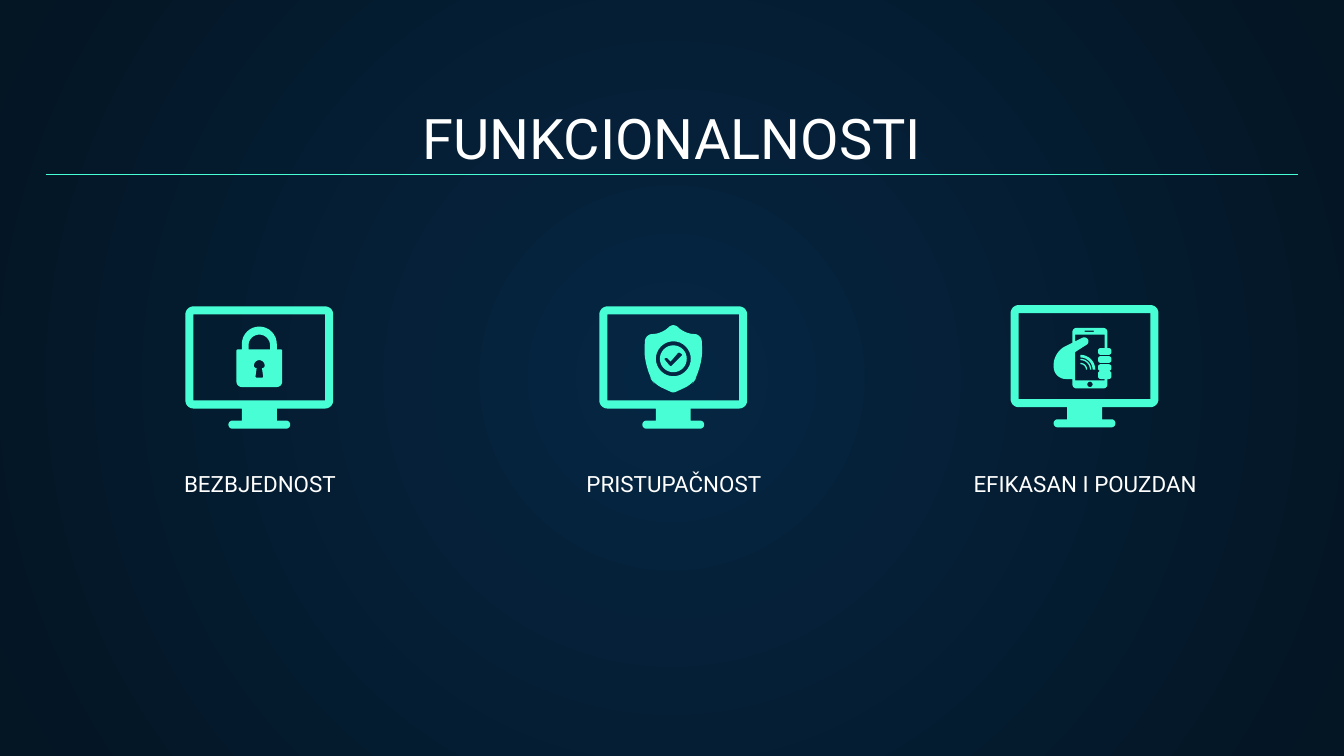
from dataclasses import dataclass
from math import dist, sqrt

from lxml.etree import SubElement
from pptx import Presentation
from pptx.dml.color import RGBColor
from pptx.enum.shapes import MSO_CONNECTOR
from pptx.enum.text import MSO_ANCHOR, PP_ALIGN
from pptx.oxml.ns import qn
from pptx.slide import Slide
from pptx.util import Inches, Pt

Corner = tuple[float, float, float]  # x, y, corner radius
Contour = list[Corner]


@dataclass(frozen=True)
class Theme:
    font: str = "Roboto"
    title_size: int = 30
    label_size: int = 12
    text: str = "FFFFFF"
    accent: str = "48FFD5"
    glow: str = "052643"
    night: str = "041523"


@dataclass(frozen=True)
class Feature:
    label: str
    center: float
    top: float
    symbol: list[Contour]


THEME = Theme()


# Contours: x from the icon's centre, y from the top of the monitor
def mirrored(half: Contour) -> Contour:
    """Close a right-hand half with its reflection."""
    return half + [(-x, y, radius) for x, y, radius in reversed(half)]


def box(left: float, top: float, width: float, height: float, radius: float = 0) -> Contour:
    right, bottom = left + width, top + height
    return [(left, top, radius), (right, top, radius),
            (right, bottom, radius), (left, bottom, radius)]


def circle(x: float, y: float, radius: float) -> Contour:
    return box(x - radius, y - radius, 2 * radius, 2 * radius, radius)


def signal_arc(x: float, y: float, outer: float, inner: float) -> Contour:
    """Quarter ring that opens up and to the right of its centre."""
    return [(x, y - outer, 0), (x + outer, y - outer, outer), (x + outer, y, 0),
            (x + inner, y, 0), (x + inner, y - inner, inner), (x, y - inner, 0)]


def rounded(contour: Contour, steps: int = 8) -> list[tuple[float, float]]:
    """Replace each corner by an arc; right angles give true circles."""
    points = []
    for index, (x, y, radius) in enumerate(contour):
        if not radius:
            points.append((x, y))
            continue
        ends = []
        for near_x, near_y, _ in (contour[index - 1], contour[(index + 1) % len(contour)]):
            share = radius / dist((x, y), (near_x, near_y))
            ends.append((x + (near_x - x) * share, y + (near_y - y) * share))
        (start_x, start_y), (end_x, end_y) = ends
        for step in range(steps + 1):
            t = step / steps
            a, b, c = (1 - t) ** 2, sqrt(2) * t * (1 - t), t ** 2
            points.append(((a * start_x + b * x + c * end_x) / (a + b + c),
                           (a * start_y + b * y + c * end_y) / (a + b + c)))
    return points


MONITOR = [
    mirrored([(0.55, 0, 0.06), (0.55, 0.76, 0.06), (0.13, 0.76, 0),
              (0.13, 0.85, 0), (0.23, 0.85, 0.03), (0.23, 0.91, 0.03)]),
    box(-0.49, 0.06, 0.98, 0.64),
]
LOCK = [
    mirrored([(0.13, 0.15, 0.13), (0.13, 0.32, 0), (0.17, 0.32, 0.01), (0.17, 0.6, 0.04)]),
    mirrored([(0.08, 0.21, 0.08), (0.08, 0.32, 0)]),
    mirrored([(0.04, 0.4, 0.04), (0.04, 0.46, 0.02), (0.02, 0.46, 0), (0.03, 0.53, 0.01)]),
]
SHIELD = [
    mirrored([(0.02, 0.14, 0.02), (0.08, 0.2, 0.06), (0.21, 0.21, 0.05),
              (0.22, 0.46, 0.14), (0.14, 0.58, 0.06), (0.01, 0.64, 0.01)]),
    circle(0, 0.39, 0.13),
    circle(0, 0.39, 0.1),
    [(-0.07, 0.39, 0.01), (-0.05, 0.38, 0.01), (-0.02, 0.41, 0),
     (0.04, 0.34, 0.01), (0.07, 0.36, 0.01), (-0.02, 0.45, 0.01)],
]
PHONE = [
    # Phone frame, first finger, thumb, fourth finger and palm in one outline
    [(-0.09, 0.17, 0.03), (0.17, 0.17, 0.03), (0.17, 0.32, 0),
     (0.2, 0.32, 0.02), (0.2, 0.37, 0.02), (0.1, 0.37, 0.02), (0.1, 0.32, 0.02),
     (0.15, 0.32, 0), (0.15, 0.22, 0), (-0.07, 0.22, 0), (-0.07, 0.27, 0),
     (0.01, 0.23, 0.03), (0.04, 0.28, 0.03), (-0.04, 0.33, 0.02), (-0.07, 0.35, 0),
     (-0.07, 0.56, 0), (0.15, 0.56, 0), (0.15, 0.55, 0), (0.1, 0.55, 0.02),
     (0.1, 0.49, 0.02), (0.2, 0.49, 0.02), (0.2, 0.55, 0.02), (0.17, 0.55, 0),
     (0.17, 0.62, 0.03), (-0.09, 0.62, 0.03), (-0.09, 0.55, 0),
     (-0.23, 0.55, 0.09), (-0.23, 0.35, 0.09), (-0.09, 0.28, 0)],
    *[box(0.1, top, 0.1, 0.05, 0.02) for top in (0.38, 0.44)],
    *[signal_arc(-0.03, 0.48, outer, inner)
      for outer, inner in ((0.11, 0.09), (0.08, 0.07), (0.05, 0.04))],
    box(0, 0.19, 0.07, 0.01),
    circle(0.04, 0.59, 0.02),
]

FEATURES = [
    Feature("BEZBJEDNOST", 1.93, 2.28, LOCK),
    Feature("PRISTUPAČNOST", 5.01, 2.28, SHIELD),
    Feature("EFIKASAN I POUZDAN", 8.07, 2.27, PHONE),
]


def add_text(slide: Slide, text: str, *, left: float, top: float, width: float,
             height: float, size: int) -> None:
    shape = slide.shapes.add_textbox(Inches(left), Inches(top), Inches(width), Inches(height))
    frame = shape.text_frame
    frame.word_wrap = True
    frame.vertical_anchor = MSO_ANCHOR.BOTTOM
    frame.margin_left = frame.margin_right = Inches(0.1)
    frame.margin_top = frame.margin_bottom = Inches(0.1)
    paragraph = frame.paragraphs[0]
    paragraph.alignment = PP_ALIGN.CENTER
    run = paragraph.add_run()
    run.text = text
    run.font.name = THEME.font
    run.font.size = Pt(size)
    run.font.color.rgb = RGBColor.from_string(THEME.text)


def add_outline(slide: Slide, contours: list[Contour], center: float, top: float) -> None:
    """Draw contours as one shape; inner contours cut holes."""
    builder = None
    for contour in contours:
        first, *rest = [(Inches(center + x), Inches(top + y)) for x, y in rounded(contour)]
        if builder is None:
            builder = slide.shapes.build_freeform(*first)
        else:
            builder.move_to(*first)
        builder.add_line_segments(rest, close=True)
    shape = builder.convert_to_shape()
    shape.shadow.inherit = False
    shape.fill.solid()
    shape.fill.fore_color.rgb = RGBColor.from_string(THEME.accent)
    shape.line.fill.background()


def add_rule(slide: Slide, left: float, right: float, y: float) -> None:
    line = slide.shapes.add_connector(
        MSO_CONNECTOR.STRAIGHT, Inches(left), Inches(y), Inches(right), Inches(y))
    line.line.color.rgb = RGBColor.from_string(THEME.accent)
    line.line.width = Pt(0.75)
    SubElement(line.element.spPr, qn("a:effectLst"))


def paint_background(slide: Slide) -> None:
    fill = slide.background.fill
    fill.gradient()
    for stop, color in zip(fill.gradient_stops, (THEME.glow, THEME.night)):
        stop.color.rgb = RGBColor.from_string(color)
    gradient = slide.element.find(".//" + qn("a:gradFill"))
    gradient.remove(gradient.find(qn("a:lin")))
    radial = SubElement(gradient, qn("a:path"), {"path": "circle"})
    SubElement(radial, qn("a:fillToRect"), {side: "50000" for side in "ltrb"})


def main() -> None:
    presentation = Presentation()
    # Widescreen, 16:9
    presentation.slide_width = Inches(10)
    presentation.slide_height = Inches(10 * 9 / 16)
    slide = presentation.slides.add_slide(presentation.slide_layouts[6])
    paint_background(slide)

    # Title and its rule
    add_text(slide, "FUNKCIONALNOSTI", left=0.34, top=0.71, width=9.32, height=0.66,
             size=THEME.title_size)
    add_rule(slide, 0.34, 9.66, 1.3)

    # Feature columns
    for feature in FEATURES:
        add_outline(slide, MONITOR, feature.center, feature.top)
        add_outline(slide, feature.symbol, feature.center, feature.top)
        add_text(slide, feature.label, left=feature.center - 1.13, top=3.59,
                 width=2.27, height=0.21, size=THEME.label_size)

    presentation.save("out.pptx")


if __name__ == "__main__":
    main()
